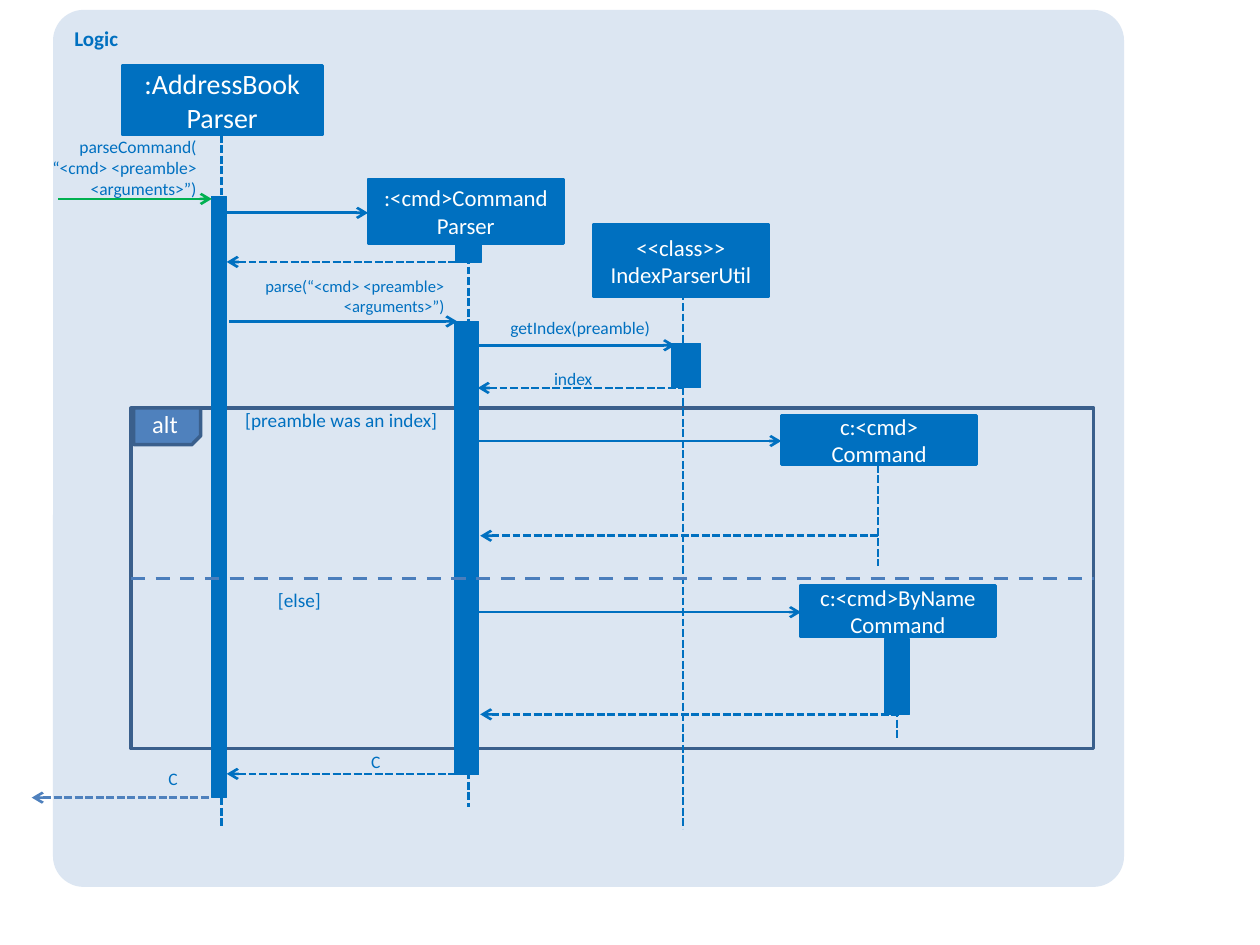
import lxml.etree
import pptx
import pptx.dml.color
import pptx.enum.dml
import pptx.enum.shapes
import pptx.enum.text
import pptx.oxml.ns
import pptx.util

Cm = pptx.util.Cm
Pt = pptx.util.Pt
qn = pptx.oxml.ns.qn
RGBColor = pptx.dml.color.RGBColor
Preset = pptx.enum.shapes.MSO_SHAPE
Dash = pptx.enum.dml.MSO_LINE
Align = pptx.enum.text.PP_ALIGN
Anchor = pptx.enum.text.MSO_ANCHOR
AutoSize = pptx.enum.text.MSO_AUTO_SIZE

BLUE = RGBColor(0x00, 0x70, 0xC0)
GREEN = RGBColor(0x00, 0xB0, 0x50)
STEEL = RGBColor(0x4F, 0x81, 0xBD)
DIVIDER = RGBColor(0x4B, 0x7E, 0xBC)
NAVY = RGBColor(0x3A, 0x5F, 0x8C)
PALE = RGBColor(0xDC, 0xE6, 0xF2)
WHITE = RGBColor(0xFF, 0xFF, 0xFF)
FONT = "Calibri"

LIFELINES = [
    (4.47, 2.72, 16.71),
    (9.45, 4.95, 16.26),
    (13.77, 5.05, 16.71),
    (17.7, 9.37, 11.4),
    (18.08, 12.6, 14.88),
]
ACTIVATIONS = [
    (4.27, 3.96, 0.3, 12.12),
    (9.19, 4.83, 0.51, 0.46),
    (9.17, 6.48, 0.48, 9.14),
    (13.54, 6.93, 0.58, 0.89),
    (17.83, 12.88, 0.51, 1.52),
]
PARTICIPANTS = [
    (":AddressBook\nParser", 2.46, 1.32, 4.04, 1.4, 16),
    (":<cmd>CommandParser", 7.42, 3.61, 3.94, 1.3, 13),
    ("<<class>>\nIndexParserUtil", 11.96, 4.52, 3.53, 1.47, 13),
    ("c:<cmd>\nCommand", 15.75, 8.38, 3.94, 0.99, 13),
    ("c:<cmd>ByName\nCommand", 16.13, 11.81, 3.94, 1.02, 13),
]
CALLS = [
    (1.17, 4.27, 4.01, GREEN),
    (4.45, 7.42, 4.29, BLUE),
    (4.62, 9.22, 6.48, BLUE),
    (9.4, 13.61, 6.96, BLUE),
    (9.27, 15.75, 8.89, BLUE),
    (9.6, 16.15, 12.34, BLUE),
]
RETURNS = [
    (4.57, 9.27, 5.28, BLUE),
    (9.63, 13.77, 7.82, BLUE),
    (9.68, 17.75, 10.8, BLUE),
    (9.68, 18.16, 14.4, BLUE),
    (4.57, 9.32, 15.6, BLUE),
    (0.64, 4.24, 16.08, STEEL),
]
LABELS = [
    ("parseCommand(\n“<cmd> <preamble> <arguments>”)", 0, 2.74, 3.96, 1.27, 10),
    ("parse(“<cmd> <preamble>\n<arguments>”)", 3.68, 5.56, 5.28, 0.81, 9.5),
    ("getIndex(preamble)", 7.82, 6.4, 5.28, 0.43, 10),
    ("index", 10.67, 7.42, 1.27, 0.43, 10),
    ("[preamble was an index]", 3.1, 8.23, 5.72, 0.48, 11),
    ("[else]", 5.05, 11.86, 1.42, 0.48, 11),
    ("C", 2.39, 15.14, 5.28, 0.43, 10),
    ("C", 1.57, 15.49, 2.01, 0.43, 10),
]


def write(frame, text, *, size, color=BLUE, bold=False, align=Align.LEFT, anchor=Anchor.TOP):
    frame.word_wrap = True
    frame.vertical_anchor = anchor
    for number, line in enumerate(text.split("\n")):
        para = frame.add_paragraph() if number else frame.paragraphs[0]
        para.alignment = align
        span = para.add_run()
        span.text = line
        span.font.name = FONT
        span.font.size = Pt(size)
        span.font.bold = bold
        span.font.color.rgb = color


class SequenceDiagram:
    def __init__(self, page):
        self.page = page

    def shape(self, preset, left, top, width, height, fill=None, outline=None, weight=1.5):
        box = self.page.shapes.add_shape(preset, Cm(left), Cm(top), Cm(width), Cm(height))
        box.shadow.inherit = False
        if fill is None:
            box.fill.background()
        else:
            box.fill.solid()
            box.fill.fore_color.rgb = fill
        if outline is None:
            box.line.fill.background()
        else:
            box.line.color.rgb = outline
            box.line.width = Pt(weight)
        return box

    def line(self, x1, y1, x2, y2, color=BLUE, weight=1.5, dash=None, arrow=None):
        connector = self.page.shapes.add_connector(
            pptx.enum.shapes.MSO_CONNECTOR.STRAIGHT, Cm(x1), Cm(y1), Cm(x2), Cm(y2))
        connector.line.color.rgb = color
        connector.line.width = Pt(weight)
        if dash is not None:
            connector.line.dash_style = dash
        properties = connector._element.spPr
        if arrow:
            lxml.etree.SubElement(properties.find(qn("a:ln")), qn(arrow), type="arrow")
        lxml.etree.SubElement(properties, qn("a:effectLst"))

    def package_area(self, text, left, top, width, height):
        box = self.shape(Preset.ROUNDED_RECTANGLE, left, top, width, height, PALE)
        box.adjustments[0] = 0.035
        write(box.text_frame, text, size=12, bold=True)

    def lifeline(self, x, top, bottom):
        self.line(x, top, x, bottom, dash=Dash.SQUARE_DOT)

    def activation(self, left, top, width, height):
        self.shape(Preset.RECTANGLE, left, top, width, height, BLUE, BLUE, 0.75)

    def participant(self, text, left, top, width, height, size):
        box = self.shape(Preset.RECTANGLE, left, top, width, height, BLUE, BLUE)
        write(box.text_frame, text, size=size, color=WHITE,
              align=Align.CENTER, anchor=Anchor.MIDDLE)

    def call(self, start, end, y, color):
        self.line(start, y, end, y, color, arrow="a:tailEnd")

    def reply(self, start, end, y, color):
        self.line(start, y, end, y, color, dash=Dash.SQUARE_DOT, arrow="a:headEnd")

    def frame_tag(self, text, left, top, width, height):
        box = self.shape(Preset.SNIP_1_RECTANGLE, left, top, width, height, STEEL, NAVY, 2)
        box.adjustments[0] = 0.241
        box.rotation = 90
        write(box.text_frame, text, size=14, color=WHITE,
              align=Align.CENTER, anchor=Anchor.MIDDLE)
        box.text_frame._txBody.find(qn("a:bodyPr")).set("vert", "vert270")

    def label(self, text, left, top, width, height, size):
        box = self.page.shapes.add_textbox(Cm(left), Cm(top), Cm(width), Cm(height))
        frame = box.text_frame
        frame.margin_left = frame.margin_right = frame.margin_top = frame.margin_bottom = 0
        frame.auto_size = AutoSize.SHAPE_TO_FIT_TEXT
        write(frame, text, size=size, align=Align.RIGHT)


def main():
    deck = pptx.Presentation()
    deck.slide_width = Cm(25.4)
    deck.slide_height = Cm(19.05)
    diagram = SequenceDiagram(deck.slides.add_slide(deck.slide_layouts[6]))

    diagram.package_area("Logic", 1.07, 0.2, 21.59, 17.68)
    diagram.shape(Preset.RECTANGLE, 2.64, 8.23, 19.41, 6.86, outline=NAVY, weight=2)
    for lifeline in LIFELINES:
        diagram.lifeline(*lifeline)
    for activation in ACTIVATIONS:
        diagram.activation(*activation)
    for participant in PARTICIPANTS:
        diagram.participant(*participant)
    diagram.frame_tag("alt", 3, 7.92, 0.74, 1.35)
    diagram.line(2.64, 11.66, 22.05, 11.66, DIVIDER, 2, Dash.DASH)
    for call in CALLS:
        diagram.call(*call)
    for reply in RETURNS:
        diagram.reply(*reply)
    for label in LABELS:
        diagram.label(*label)

    deck.save("out.pptx")


if __name__ == "__main__":
    main()
